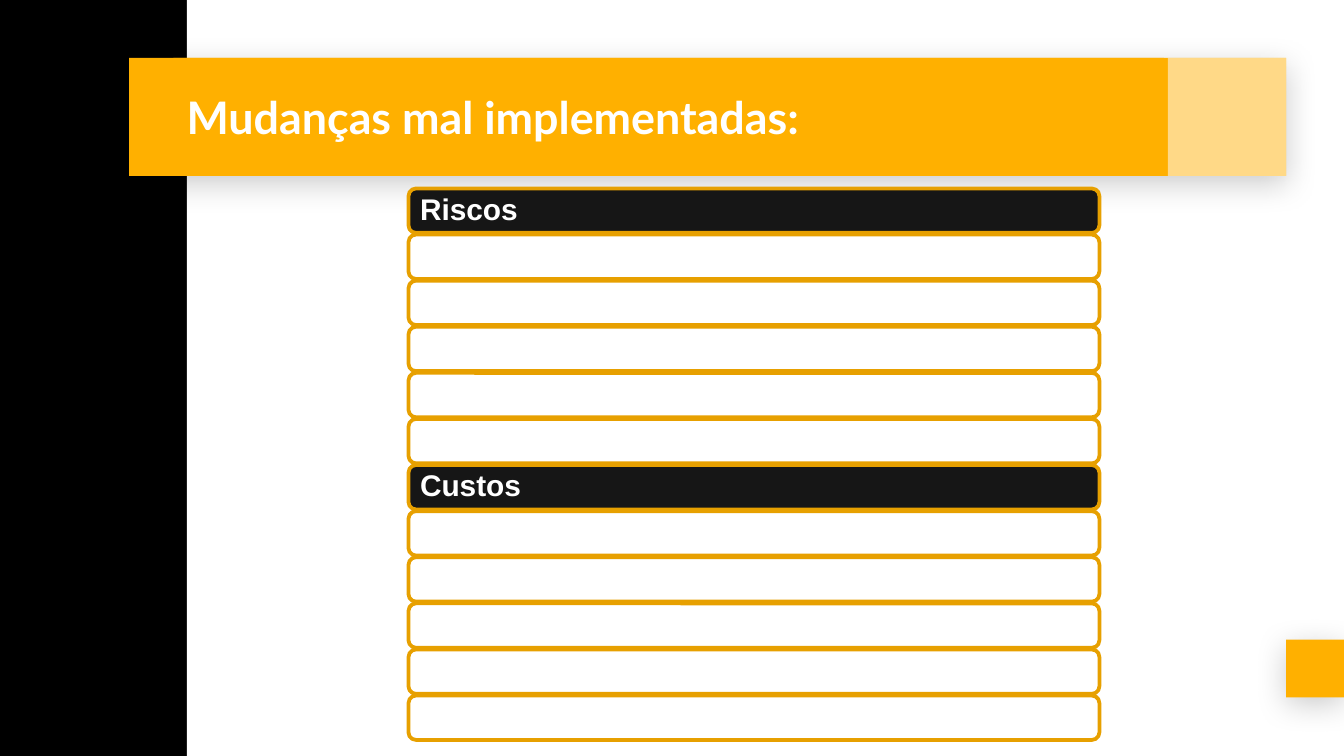
from dataclasses import dataclass
from lxml.etree import SubElement
from pptx import Presentation
from pptx.dml.color import RGBColor
from pptx.enum.shapes import MSO_SHAPE as Preset
from pptx.enum.text import MSO_ANCHOR as Anchor, PP_ALIGN as Align
from pptx.oxml.ns import qn
from pptx.util import Inches, Pt

BLACK = RGBColor(0x00, 0x00, 0x00)
CHARCOAL = RGBColor(0x16, 0x16, 0x16)
WHITE = RGBColor(0xFF, 0xFF, 0xFF)
AMBER = RGBColor(0xFF, 0xB0, 0x00)
OUTLINE = RGBColor(0xE7, 0xA0, 0x00)

COLUMNS, ROWS = 100, 56.25
PANEL_SHADOW = {"opacity": 15, "blur": 22.5, "distance": 15, "angle": 180}
ACCENT_SHADOW = {"opacity": 20, "blur": 16.9, "distance": 3.8, "angle": 90}
TITLE_FORMAT = {"name": "Lato", "size": Pt(24), "bold": True}
HEADING_FORMAT = {"name": "Arial", "size": Pt(16), "bold": True}

SECTIONS = ["Riscos", "Custos"]
ROWS_PER_SECTION = 6
LIST_LEFT, LIST_TOP, LIST_WIDTH = 30.4, 14.03, 51.4
ROW_HEIGHT, ROW_PITCH = 3.3, 3.43


def apply_format(target, values):
    for name, value in values.items():
        setattr(target, name, value)


@dataclass
class SlideBuilder:
    presentation: object
    slide: object
    text_color: RGBColor = WHITE
    outline_color: RGBColor = OUTLINE
    outline_width: float = 2

    def background(self, color):
        fill = self.slide.background.fill
        fill.solid()
        fill.fore_color.rgb = color

    def box(self, left, top, width, height, color, preset=Preset.RECTANGLE):
        column = self.presentation.slide_width / COLUMNS
        row = self.presentation.slide_height / ROWS
        shape = self.slide.shapes.add_shape(
            preset, round(left * column), round(top * row),
            round(width * column), round(height * row))
        shape.shadow.inherit = False
        shape.fill.solid()
        shape.fill.fore_color.rgb = color
        shape.line.fill.background()
        return shape

    def shadow(self, shape, opacity, blur, distance, angle):
        effects = shape.element.spPr.find(qn("a:effectLst"))
        outer = SubElement(
            effects, qn("a:outerShdw"), blurRad=str(Pt(blur)),
            dist=str(Pt(distance)), dir=str(angle * 60000),
            algn="bl", rotWithShape="0")
        color = SubElement(outer, qn("a:srgbClr"), val=str(BLACK))
        SubElement(color, qn("a:alpha"), val=str(opacity * 1000))

    def translucent(self, shape, opacity):
        color = shape.element.spPr.find(qn("a:solidFill"))[0]
        SubElement(color, qn("a:alpha"), val=str(opacity * 1000))

    def text(self, shape, content, inset, font_format, paragraph_format):
        margins = ("margin_left", "margin_top", "margin_right", "margin_bottom")
        frame_format = {name: Inches(inset) for name in margins}
        frame_format |= {"word_wrap": True, "vertical_anchor": Anchor.MIDDLE}
        apply_format(shape.text_frame, frame_format)
        paragraph = shape.text_frame.paragraphs[0]
        apply_format(paragraph, {"alignment": Align.LEFT} | paragraph_format)
        run = paragraph.add_run()
        run.text = content
        apply_format(run.font, font_format)
        run.font.color.rgb = self.text_color

    def list_row(self, index, color):
        shape = self.box(LIST_LEFT, LIST_TOP + index * ROW_PITCH, LIST_WIDTH,
                         ROW_HEIGHT, color, Preset.ROUNDED_RECTANGLE)
        shape.line.color.rgb = self.outline_color
        shape.line.width = Pt(self.outline_width)
        return shape


def main():
    presentation = Presentation()
    presentation.slide_width = Inches(10)
    presentation.slide_height = Inches(5.625)
    slide = presentation.slides.add_slide(presentation.slide_layouts[6])
    builder = SlideBuilder(presentation, slide)

    builder.background(BLACK)
    panel = builder.box(13.9, 0, 86.1, ROWS, WHITE)
    builder.shadow(panel, **PANEL_SHADOW)
    corner = builder.box(95.7, 47.6, 4.3, 4.3, AMBER)
    banner = builder.box(9.6, 4.3, 86.1, 8.8, AMBER)
    for shape in (corner, banner):
        builder.shadow(shape, **ACCENT_SHADOW)
    builder.translucent(builder.box(86.9, 4.3, 8.8, 8.8, WHITE), 53)

    title = builder.box(12.9, 4.3, 73.7, 8.8, AMBER)
    builder.text(title, "Mudanças mal implementadas:", 0.1, TITLE_FORMAT, {})

    for index in range(len(SECTIONS) * ROWS_PER_SECTION):
        section, position = divmod(index, ROWS_PER_SECTION)
        row = builder.list_row(index, WHITE if position else CHARCOAL)
        if position == 0:
            builder.text(row, SECTIONS[section], 0.07, HEADING_FORMAT,
                         {"line_spacing": 0.9})

    presentation.save("out.pptx")


if __name__ == "__main__":
    main()
